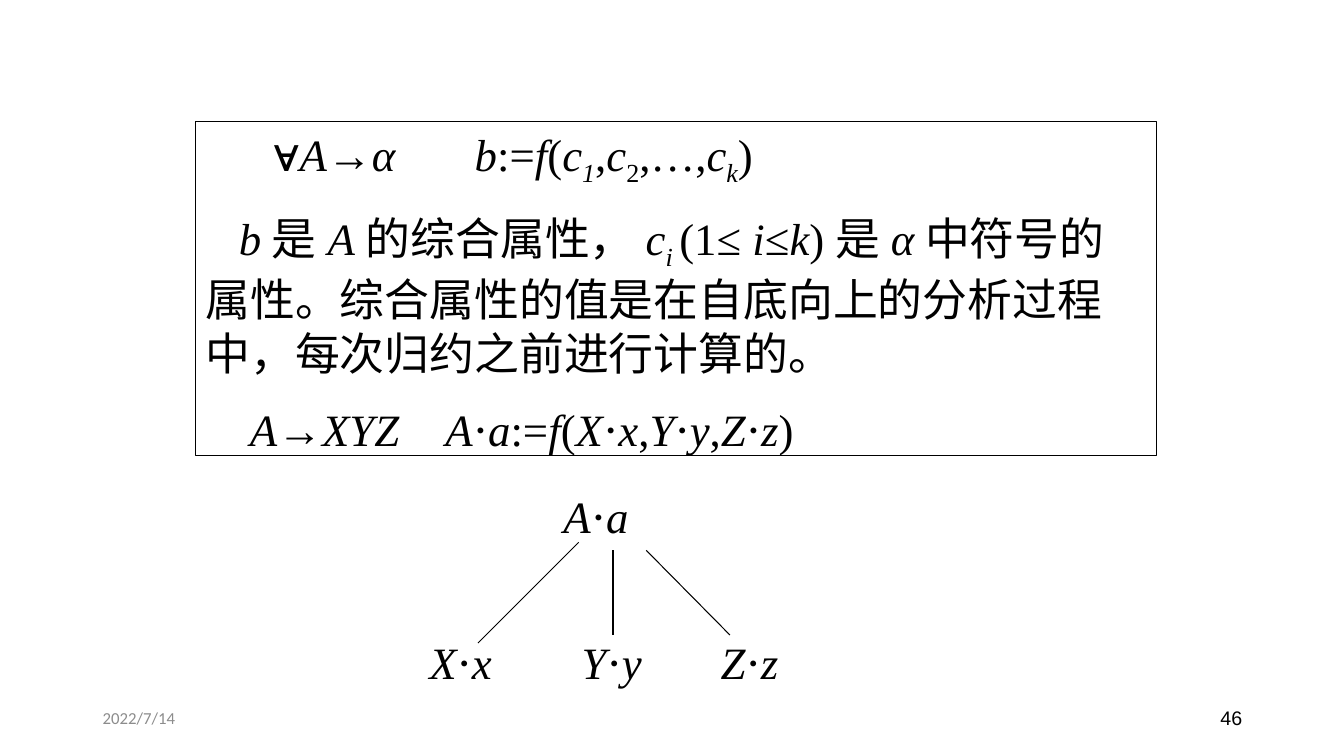
"""Build the slide on synthesized attributes with its small parse tree."""
from lxml.etree import SubElement
from pptx import Presentation
from pptx.dml.color import RGBColor
from pptx.enum.shapes import MSO_CONNECTOR, MSO_SHAPE
from pptx.enum.text import MSO_ANCHOR, MSO_AUTO_SIZE, PP_ALIGN
from pptx.oxml.ns import qn
from pptx.util import Pt

PX = 9144
COLORS = {"ink": "000000", "date": "8C8C8C"}


def style(run, size, face, color):
    run.font.size = Pt(size)
    run.font.name = face
    run.font.color.rgb = RGBColor.from_string(COLORS[color])


def write(para, text):
    """Write a formula: * switches italics, _ switches subscript."""
    for i, part in enumerate(text.split("*")):
        for j, piece in enumerate(part.split("_")):
            if piece:
                run = para.add_run()
                run.text = piece
                style(run, 32, "Times New Roman", "ink")
                run.font.italic = i % 2 == 1
                if j % 2:
                    run.font._element.set("baseline", "-25000")


deck = Presentation()
deck.slide_width, deck.slide_height = 1333 * PX, 750 * PX
slide = deck.slides.add_slide(deck.slide_layouts[6])
shapes = slide.shapes

footers = [
    (92, "2022/7/14", 12, "Calibri", "date", PP_ALIGN.LEFT),
    (942, "46", 14, "Arial", "ink", PP_ALIGN.RIGHT),
]
for left, text, size, face, color, align in footers:
    box = shapes.add_textbox(left * PX, 692 * PX, 300 * PX, 40 * PX)
    frame = box.text_frame
    frame.word_wrap = True
    frame.vertical_anchor = MSO_ANCHOR.MIDDLE
    frame.text = text
    para = frame.paragraphs[0]
    para.alignment = align
    style(para.runs[0], size, face, color)

rules = shapes.add_shape(MSO_SHAPE.RECTANGLE, 194 * PX, 121 * PX, 953 * PX, 331 * PX)
rules.shadow.inherit = False
rules.fill.background()
rules.line.color.rgb = RGBColor.from_string(COLORS["ink"])
rules.line.width = Pt(0.75)
frame = rules.text_frame
frame.word_wrap = True
frame.auto_size = MSO_AUTO_SIZE.SHAPE_TO_FIT_TEXT
frame.vertical_anchor = MSO_ANCHOR.TOP
lines = [
    ("\t∀*A*→*α\tb*:=*f*(*c_1_*,*c*_2_,…,*c_k_*)", [67, 267]),
    ("\t*b*是*A*的综合属性，*c_i _*(1≤ *i*≤*k*)是*α*中符号的属性。"
     "综合属性的值是在自底向上的分析过程中，每次归约之前进行计算的。", [33]),
    ("\t*A*→*XYZ\tA*⋅*a*:=*f*(*X*⋅*x*,*Y*⋅*y*,*Z*⋅*z*)", [44, 238]),
]
for row, (text, tabs) in enumerate(lines):
    para = frame.add_paragraph() if row else frame.paragraphs[0]
    para.alignment = PP_ALIGN.LEFT
    para.space_before = Pt(16 if row else 0)
    stops = SubElement(para._p.get_or_add_pPr(), qn("a:tabLst"))
    for tab in tabs:
        SubElement(stops, qn("a:tab"), pos=str(tab * PX), algn="l")
    write(para, text)

nodes = [
    (549, 480, "*A*⋅*a*"),
    (416, 625, "*X*⋅*x*"),
    (567, 625, "*Y*⋅*y*"),
    (705, 625, "*Z*⋅*z*"),
]
for left, top, text in nodes:
    box = shapes.add_textbox(left * PX, top * PX, 100 * PX, 64 * PX)
    box.text_frame.word_wrap = True
    box.text_frame.auto_size = MSO_AUTO_SIZE.SHAPE_TO_FIT_TEXT
    write(box.text_frame.paragraphs[0], text)

edges = [(574, 538, 474, 638), (608, 546, 608, 630), (641, 546, 724, 630)]
for edge in edges:
    branch = shapes.add_connector(MSO_CONNECTOR.STRAIGHT, *(n * PX for n in edge))
    branch.line.color.rgb = RGBColor.from_string(COLORS["ink"])
    branch.line.width = Pt(0.75)
    SubElement(branch._element.spPr, qn("a:effectLst"))

deck.save("out.pptx")
